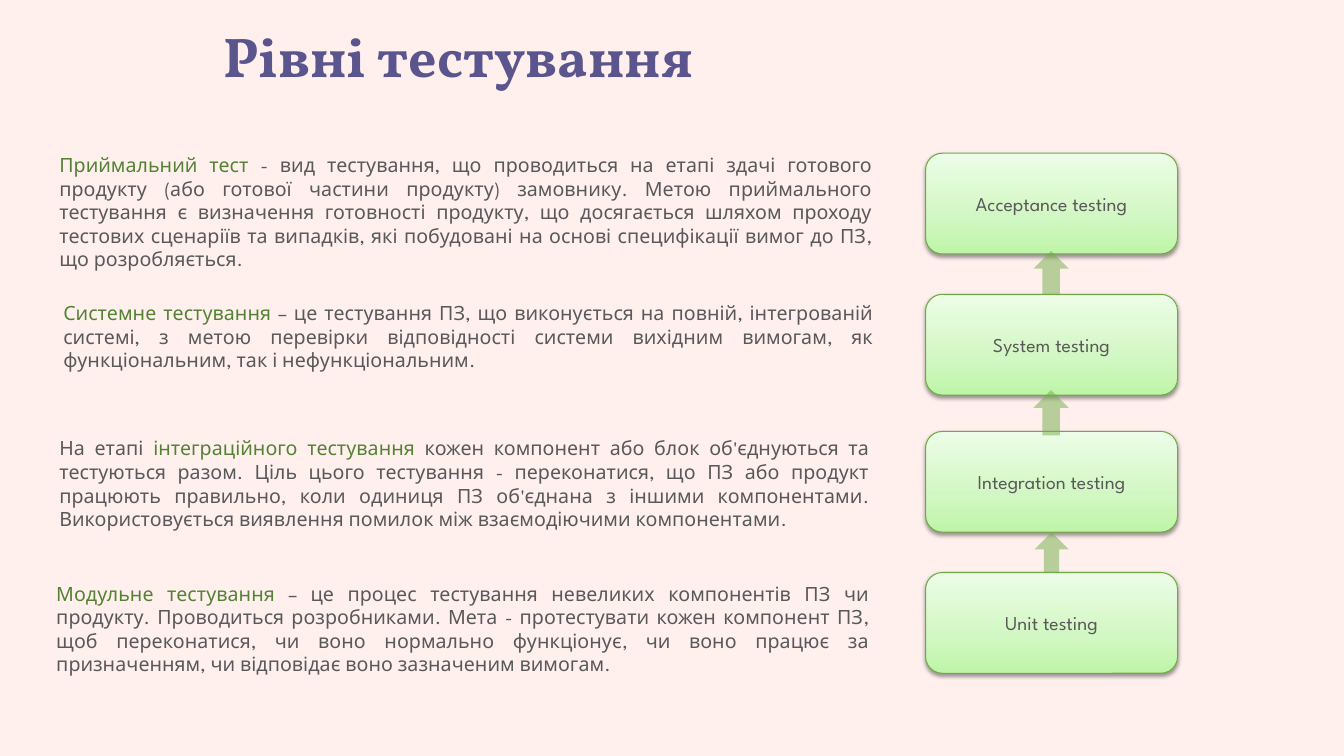
"""Build the slide on the four levels of software testing."""
from dataclasses import dataclass

from lxml import etree
from pptx import Presentation
from pptx.dml.color import RGBColor
from pptx.enum import shapes, text
from pptx.oxml import ns
from pptx.util import Inches, Pt


@dataclass(frozen=True)
class Theme:
    background: str = "FFF0EE"
    title: str = "5A558D"
    term: str = "548235"
    body: str = "595959"
    outline: str = "6DAC43"
    arrow: str = "70AD47"
    gradient: tuple = ((0, "BEF5A7"), (35, "D1F7C2"), (100, "EDFDE7"))
    title_font: str = "Vollkorn"
    body_font: str = "League Spartan"
    title_size: int = 40
    body_size: int = 14


theme = Theme()


def add_run(paragraph, wording, color, size=theme.body_size, font=theme.body_font):
    run = paragraph.add_run()
    run.text = wording
    run.font.name = font
    run.font.size = Pt(size)
    run.font.color.rgb = RGBColor.from_string(color)
    return run


def add_xml(parent, tag, **attributes):
    return etree.SubElement(parent, ns.qn(tag), {k: str(v) for k, v in attributes.items()})


deck = Presentation()
deck.slide_width, deck.slide_height = Inches(13.33), Inches(7.5)
slide = deck.slides.add_slide(deck.slide_layouts[6])
slide.background.fill.solid()
slide.background.fill.fore_color.rgb = RGBColor.from_string(theme.background)

title = slide.shapes.add_textbox(Inches(2.07), Inches(0.16), Inches(5.06), Inches(1.11))
title.text_frame.word_wrap = True
heading = title.text_frame.paragraphs[0]
heading.alignment = text.PP_ALIGN.CENTER
add_run(heading, "Рівні тестування ", theme.title, theme.title_size, theme.title_font).font.bold = True

descriptions = [
    (0.49, 1.47, 8.26, 1.28, "", "Приймальний тест ",
     "- вид тестування, що проводиться на етапі здачі готового продукту (або готової частини "
     "продукту) замовнику. Метою приймального тестування є визначення готовності продукту, що "
     "досягається шляхом проходу тестових сценаріїв та випадків, які побудовані на основі "
     "специфікації вимог до ПЗ, що розробляється."),
    (0.53, 2.94, 8.23, 0.81, "", "Системне тестування ",
     "– це тестування ПЗ, що виконується на повній, інтегрованій системі, з метою перевірки "
     "відповідності системи вихідним вимогам, як функціональним, так і нефункціональним."),
    (0.49, 4.28, 8.23, 1.04, "На етапі ", "інтеграційного тестування ",
     "кожен компонент або блок об'єднуються та тестуються разом. Ціль цього тестування - "
     "переконатися, що ПЗ або продукт працюють правильно, коли одиниця ПЗ об'єднана з іншими "
     "компонентами. Використовується виявлення помилок між взаємодіючими компонентами."),
    (0.46, 5.72, 8.26, 1.04, "", "Модульне тестування ",
     "– це процес тестування невеликих компонентів ПЗ чи продукту. Проводиться розробниками. "
     "Мета - протестувати кожен компонент ПЗ, щоб переконатися, чи воно нормально функціонує, "
     "чи воно працює за призначенням, чи відповідає воно зазначеним вимогам."),
]
for left, top, width, height, lead, term, explanation in descriptions:
    description = slide.shapes.add_textbox(Inches(left), Inches(top), Inches(width), Inches(height))
    description.text_frame.word_wrap = True
    description.text_frame.auto_size = text.MSO_AUTO_SIZE.SHAPE_TO_FIT_TEXT
    paragraph = description.text_frame.paragraphs[0]
    paragraph.alignment = text.PP_ALIGN.JUSTIFY
    for wording, color in ((lead, theme.body), (term, theme.term), (explanation, theme.body)):
        if wording:
            add_run(paragraph, wording, color)

pyramid = slide.shapes.add_group_shape()
levels = [("Unit testing", 5.68), ("Integration testing", 4.28),
          ("System testing", 2.92), ("Acceptance testing", 1.52)]
for name, top in levels:
    level = pyramid.shapes.add_shape(shapes.MSO_SHAPE.FLOWCHART_ALTERNATE_PROCESS,
                                     Inches(9.18), Inches(top), Inches(2.5), Inches(1))
    level.fill.gradient()
    level.fill.gradient_angle = 90
    properties = level.element.spPr
    stops = properties.find(".//" + ns.qn("a:gsLst"))
    stops.clear()
    for position, color in theme.gradient:
        add_xml(add_xml(stops, "a:gs", pos=position * 1000), "a:srgbClr", val=color)
    level.line.color.rgb = RGBColor.from_string(theme.outline)
    level.line.width = Pt(0.75)
    level.shadow.inherit = False
    shadow = add_xml(properties.find(ns.qn("a:effectLst")), "a:outerShdw", blurRad=Pt(3.1),
                     dist=Pt(1.6), dir=5400000, rotWithShape=0)
    add_xml(add_xml(shadow, "a:srgbClr", val="000000"), "a:alpha", val=38000)
    level.text_frame.word_wrap = True
    level.text_frame.vertical_anchor = text.MSO_ANCHOR.MIDDLE
    label = level.text_frame.paragraphs[0]
    label.alignment = text.PP_ALIGN.CENTER
    add_run(label, name, theme.body)

arrows = [(10.23, 5.31, 0.4, 0.34, 0.44), (10.2, 3.92, 0.45, 0.35, 0.5), (10.21, 2.53, 0.43, 0.35, 0.5)]
for left, top, width, height, shaft in arrows:
    arrow = pyramid.shapes.add_shape(shapes.MSO_SHAPE.RIGHT_ARROW,
                                     Inches(left), Inches(top), Inches(width), Inches(height))
    arrow.rotation = 270
    arrow.adjustments[0] = shaft
    arrow.fill.solid()
    arrow.fill.fore_color.rgb = RGBColor.from_string(theme.arrow)
    add_xml(arrow.element.spPr.find(".//" + ns.qn("a:srgbClr")), "a:alpha", val=50000)
    arrow.line.fill.background()
    arrow.shadow.inherit = False

deck.save("out.pptx")
